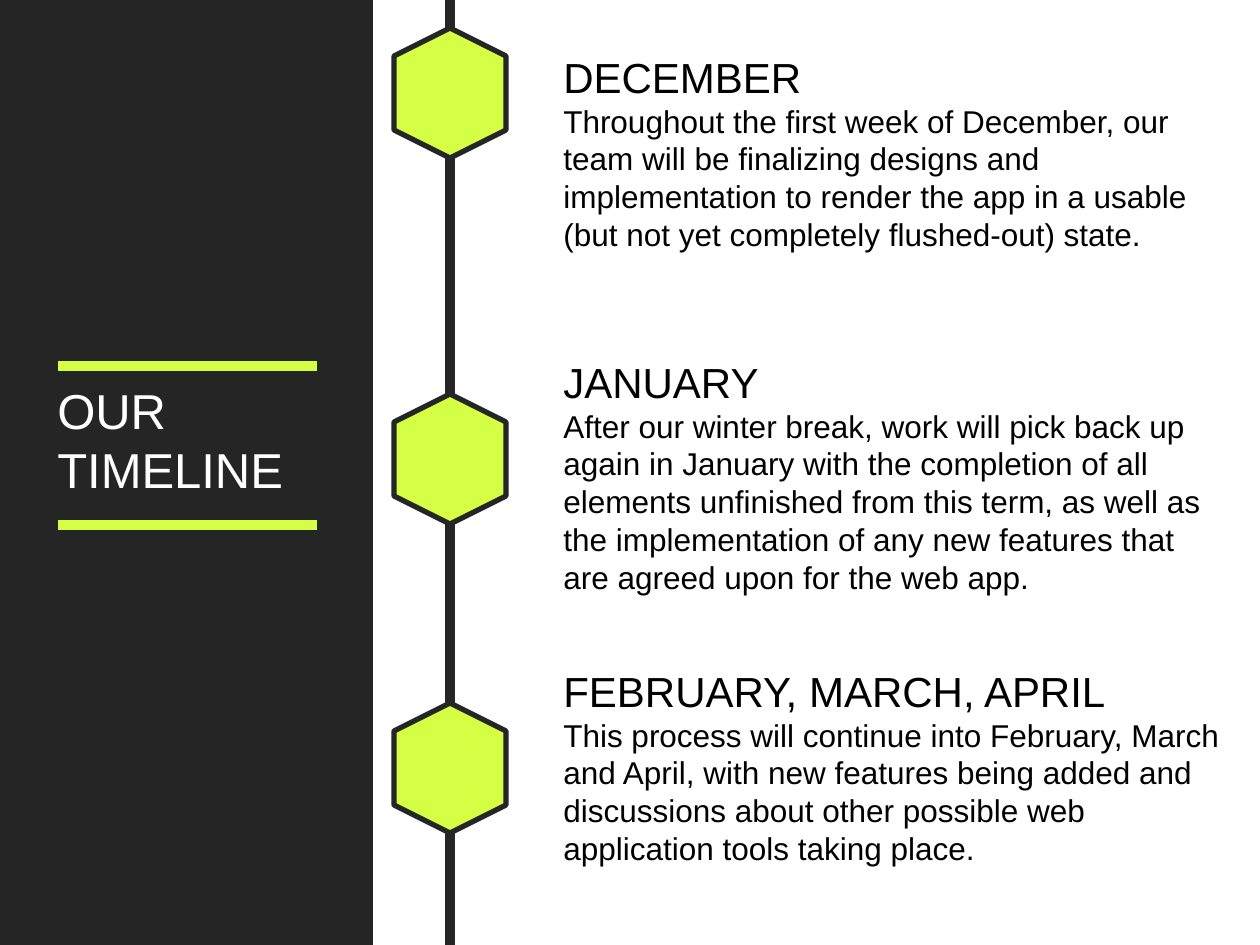
from lxml import etree
from pptx import Presentation
from pptx import util as u
from pptx.dml.color import RGBColor
from pptx.enum import shapes
from pptx.oxml.ns import qn

PX = u.Inches(1) / 126
DARK, LIME, BLACK, WHITE = "262626", "D4FF44", "000000", "FFFFFF"


def px(*lengths):
    return [u.Emu(round(length * PX)) for length in lengths]


def color(target, value):
    """Set a solid colour on a fill, or on the fill of a line or font."""
    target.solid()
    target.fore_color.rgb = RGBColor.from_string(value)


deck = Presentation()
deck.slide_width, deck.slide_height = px(1260, 945)
page = deck.slides.add_slide(deck.slide_layouts[6])

sidebar = page.shapes.add_shape(shapes.MSO_SHAPE.RECTANGLE, *px(0, 0, 373, 945))
sidebar.shadow.inherit = False
color(sidebar.fill, "252525")
sidebar.line.fill.background()

# Title rules, then the timeline axis
for ends, line_color in [
    ((58, 366, 317, 366), LIME),
    ((58, 525, 317, 525), LIME),
    ((450, 0, 450, 945), DARK),
]:
    rule = page.shapes.add_connector(shapes.MSO_CONNECTOR.STRAIGHT, *px(*ends))
    color(rule.line.fill, line_color)
    rule.line.width = u.Pt(6)
    etree.SubElement(rule._element.spPr, qn("a:effectLst"))

for top in (37, 403, 712):
    marker = page.shapes.add_shape(shapes.MSO_SHAPE.HEXAGON, *px(385, top, 130, 112))
    marker.rotation = 270
    marker.adjustments[0] = 0.25
    marker.shadow.inherit = False
    color(marker.fill, LIME)
    color(marker.line.fill, DARK)
    marker.line.width = u.Pt(3)

# Place, text colour, and paragraphs with their sizes
text_blocks = [
    ((45, 374, 404, 131), WHITE, [("OUR", 28), ("TIMELINE", 28)]),
    ((551, 45, 683, 217), BLACK, [
        ("DECEMBER", 24),
        ("Throughout the first week of December, our team will be finalizing designs "
         "and implementation to render the app in a usable (but not yet completely "
         "flushed-out) state.", 18),
    ]),
    ((551, 350, 683, 217), BLACK, [
        ("JANUARY", 24),
        ("After our winter break, work will pick back up again in January with the "
         "completion of all elements unfinished from this term, as well as the "
         "implementation of any new features that are agreed upon for the web app.", 18),
    ]),
    ((551, 659, 683, 217), BLACK, [
        ("FEBRUARY, MARCH, APRIL", 24),
        ("This process will continue into February, March and April, with new features "
         "being added and discussions about other possible web application tools "
         "taking place.", 18),
    ]),
]
for place, text_color, paragraphs in text_blocks:
    box = page.shapes.add_textbox(*px(*place))
    frame = box.text_frame
    frame.word_wrap = True
    for index, (words, size) in enumerate(paragraphs):
        para = frame.add_paragraph() if index else frame.paragraphs[0]
        span = para.add_run()
        span.text = words
        span.font.name = "Arial"
        span.font.size = u.Pt(size)
        color(span.font.fill, text_color)

deck.save("out.pptx")
